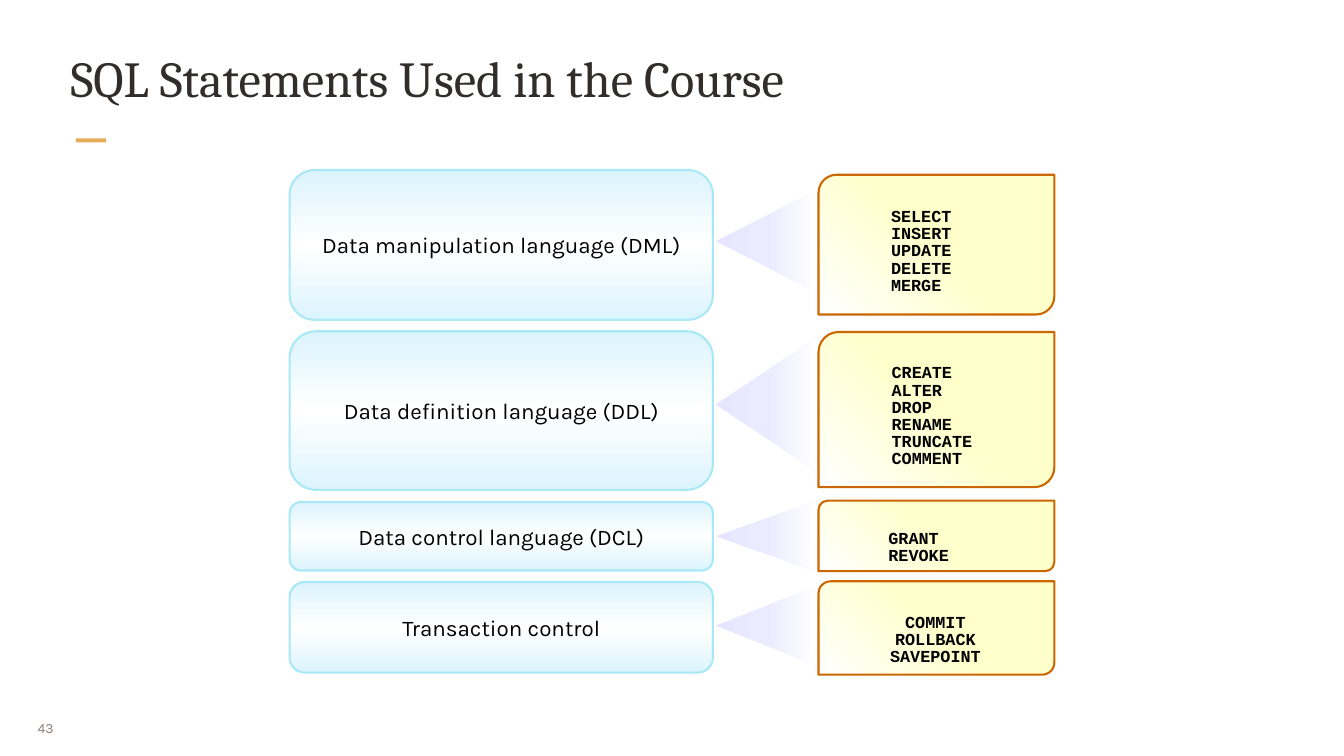
"""Build a slide that maps SQL language groups to their statements."""
from lxml import etree
from pptx import Presentation
from pptx.dml.color import RGBColor
from pptx.enum.shapes import MSO_SHAPE
from pptx.enum.text import MSO_ANCHOR, PP_ALIGN
from pptx.oxml.ns import qn
from pptx.util import Inches, Pt

RECT, ROUND = MSO_SHAPE.RECTANGLE, MSO_SHAPE.ROUNDED_RECTANGLE
CARD, CONE = MSO_SHAPE.ROUND_2_DIAG_RECTANGLE, MSO_SHAPE.ISOSCELES_TRIANGLE
LEFT, MID = PP_ALIGN.LEFT, PP_ALIGN.CENTER
TOP, CENTER = MSO_ANCHOR.TOP, MSO_ANCHOR.MIDDLE

TITLE = "SQL Statements Used in the Course"
# fields: name, statements, box (top, height), card (top, height), cone (middle, spread), alignment, top inset
ROWS = [
    ("Data manipulation language (DML)", ["SELECT", "INSERT", "UPDATE", "DELETE", "MERGE"],
     (2.53, 2.23), (2.6, 2.08), (3.59, 1.5), LEFT, 0.25),
    ("Data definition language (DDL)", ["CREATE", "ALTER", "DROP", "RENAME", "TRUNCATE", "COMMENT"],
     (4.93, 2.36), (4.94, 2.31), (6.02, 1.97), LEFT, 0.25),
    ("Data control language (DCL)", ["GRANT", "REVOKE"],
     (7.47, 1.02), (7.45, 1.05), (7.98, 1.04), LEFT, 0.4),
    ("Transaction control", ["COMMIT", "ROLLBACK", "SAVEPOINT"],
     (8.66, 1.35), (8.65, 1.39), (9.31, 1.16), MID, 0.4),
]
BLUE = ["DCF4FD", "FFFFFF", "DCF4FD"]
CREAM = ["FFFFCC", "FFFFCC", "FFFFFF"]
LILAC = ["E5E5FF", "EBEBFF", "FFFFFF"]
BOX_X, BOX_W = 4.31, 6.3
CARD_X, CARD_W = 12.18, 3.51
CONE_X, CONE_W = 10.65, 1.5


def color(code):
    return RGBColor.from_string(code)


def blend(shape, codes, angle):
    props = shape.fill._xPr
    shape.fill.background()
    fill = etree.Element(qn("a:gradFill"), rotWithShape="1")
    stops = etree.SubElement(fill, qn("a:gsLst"))
    for i, code in enumerate(codes):
        stop = etree.SubElement(stops, qn("a:gs"), pos=str(i * 50000))
        etree.SubElement(stop, qn("a:srgbClr"), val=code)
    etree.SubElement(fill, qn("a:lin"), ang=str(angle * 60000), scaled="0")
    props.replace(props.find(qn("a:noFill")), fill)


def draw(slide, kind, x, y, w, h, edge=None):
    shape = slide.shapes.add_shape(kind, Inches(x), Inches(y), Inches(w), Inches(h))
    shape.shadow.inherit = False
    if edge:
        shape.line.color.rgb = color(edge)
        shape.line.width = Pt(2.25)
    else:
        shape.line.fill.background()
    return shape


def write(shape, text, font, size, code, align=LEFT, anchor=CENTER,
          inset=(0.1, 0.05, 0.1, 0.05), wrap=True, bold=False):
    frame = shape.text_frame
    frame.text = text
    frame.word_wrap = wrap
    frame.vertical_anchor = anchor
    (frame.margin_left, frame.margin_top,
     frame.margin_right, frame.margin_bottom) = map(Inches, inset)
    for para in frame.paragraphs:
        para.alignment = align
        para.font.name, para.font.size = font, Pt(size)
        para.font.bold = bold
        for run in para.runs:
            run.font.name, run.font.size = font, Pt(size)
            run.font.bold = bold
            run.font.color.rgb = color(code)
    return frame


def label(slide, x, y, w, h, *args, **style):
    box = slide.shapes.add_textbox(Inches(x), Inches(y), Inches(w), Inches(h))
    write(box, *args, **style)


def add_row(slide, name, words, box, card, cone, align, inset):
    shape = draw(slide, ROUND, BOX_X, box[0], BOX_W, box[1], "A9E8F5")
    blend(shape, BLUE, 90)
    write(shape, name, "Karla", 24, "000000", MID)

    shape = draw(slide, CARD, CARD_X, card[0], CARD_W, card[1], "CC6600")
    shape.adjustments[0] = 0.13
    blend(shape, CREAM, 135)
    indent = 1 if align == LEFT else 0
    frame = write(shape, "\n".join(words), "Courier New", 18, "000000", align,
                  inset=(indent, inset, 0.03, 0), bold=True)
    for i, para in enumerate(frame.paragraphs):
        para.line_spacing = 0.65
        if i:
            para.space_before = Pt(4.4)

    mid, spread = cone
    shape = draw(slide, CONE, CONE_X + (CONE_W - spread) / 2, mid - CONE_W / 2, spread, CONE_W)
    shape.rotation = 270
    blend(shape, LILAC, 90)


def main():
    deck = Presentation()
    deck.slide_width, deck.slide_height = Inches(20), Inches(11.25)
    slide = deck.slides.add_slide(deck.slide_layouts[6])
    dash = draw(slide, RECT, 1.13, 2.06, 0.45, 0.06)
    dash.fill.solid()
    dash.fill.fore_color.rgb = color("E6AC58")
    label(slide, 0.43, 10.54, 0.65, 0.58, "43", "Karla", 15, "8B8078",
          inset=(0.13, 0.07, 0.13, 0.07), wrap=False)
    label(slide, 1.02, 0.67, 17.96, 1.28, TITLE, "Cambria", 54, "312D2A",
          anchor=TOP, inset=(0.03, 0.03, 0.03, 0.03))
    for row in ROWS:
        add_row(slide, *row)
    deck.save("out.pptx")


if __name__ == "__main__":
    main()
